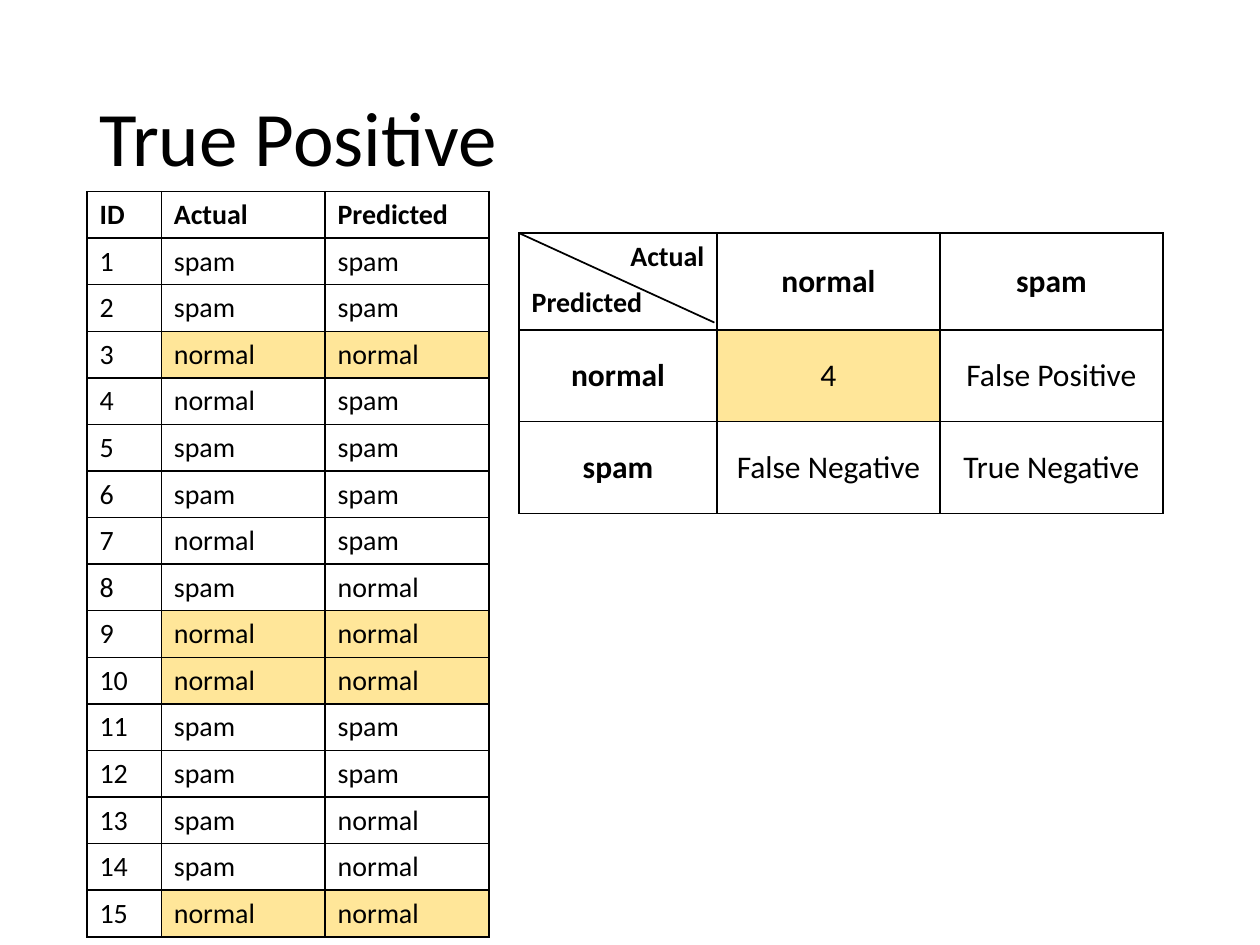
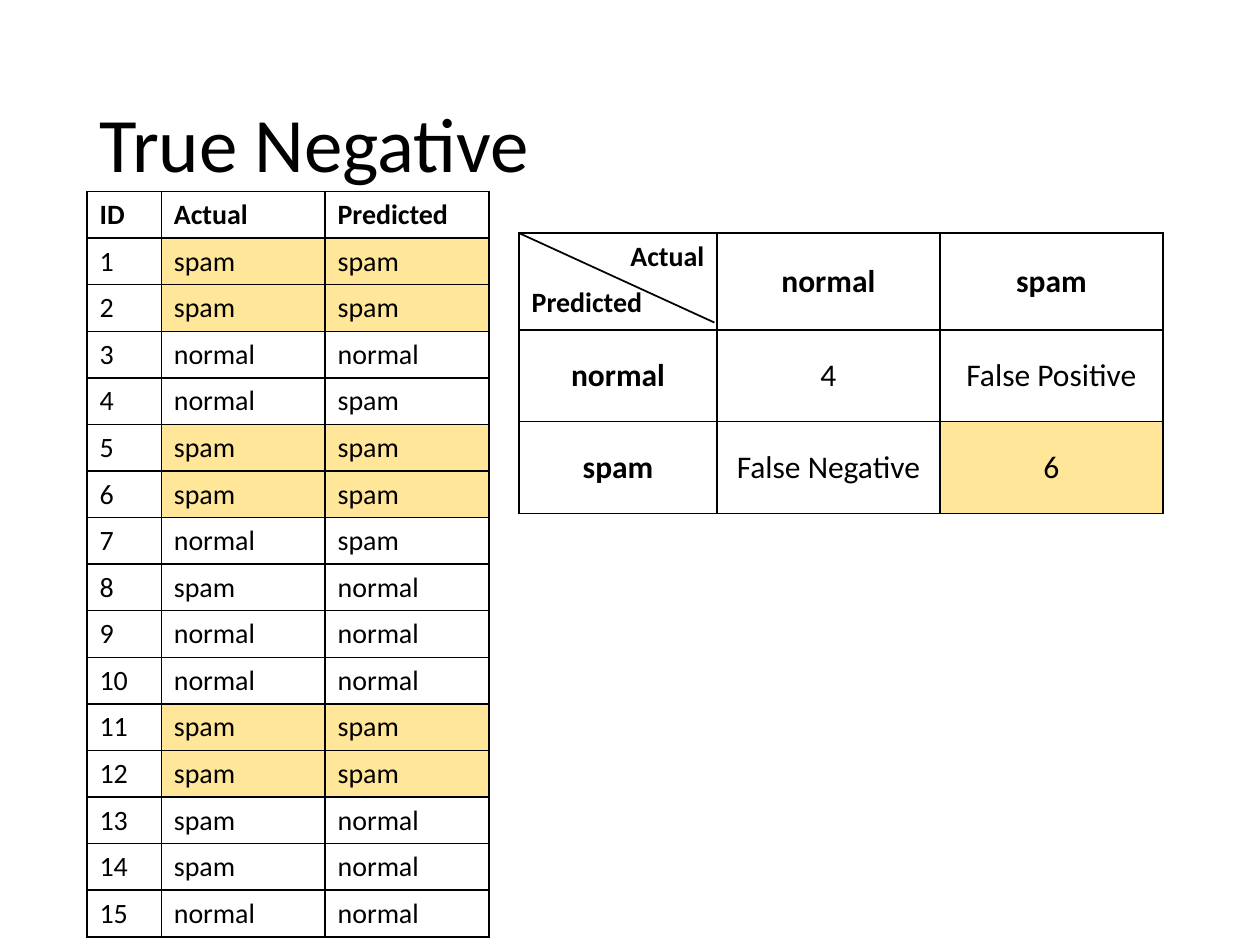
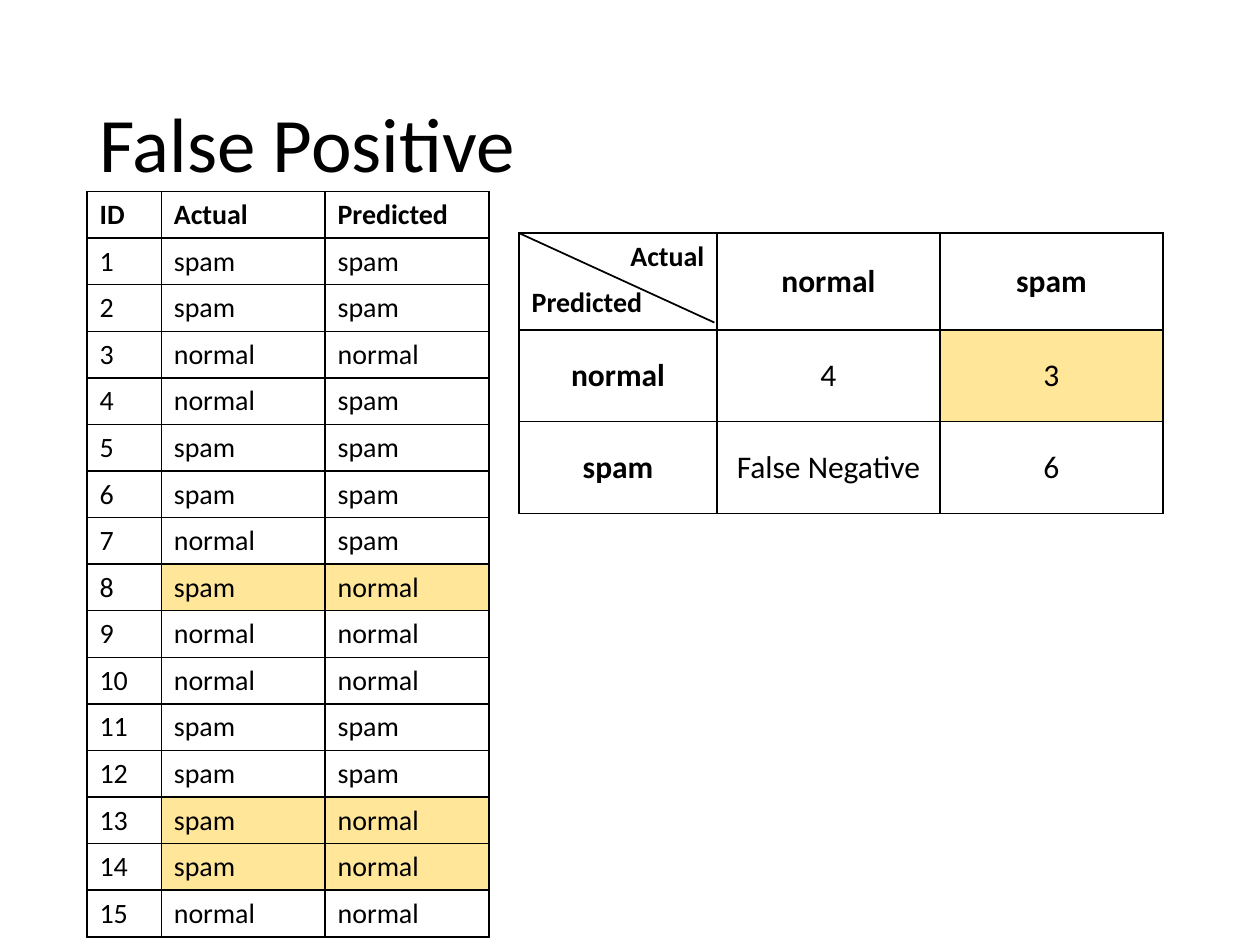
from pptx import Presentation
from pptx.dml.color import RGBColor
from pptx.enum.shapes import MSO_CONNECTOR
from pptx.enum.text import MSO_ANCHOR, PP_ALIGN
from pptx.oxml.ns import qn
from pptx.util import Inches, Pt
from lxml import etree

LEFT, CENTER, RIGHT = PP_ALIGN.LEFT, PP_ALIGN.CENTER, PP_ALIGN.RIGHT
TOP, MIDDLE = MSO_ANCHOR.TOP, MSO_ANCHOR.MIDDLE
STRAIGHT = MSO_CONNECTOR.STRAIGHT

FONT = "Calibri"
BLACK, WHITE, HIGHLIGHT = "000000", "FFFFFF", "FFE699"
MARGIN = 0.69
MATRIX_LEFT, MATRIX_TOP = 4.12, 1.85

CLASSES = ["normal", "spam"]
ACTUAL = ("spam spam normal normal spam spam normal spam "
          "normal normal spam spam spam spam normal").split()
PREDICTED = ("spam spam normal spam spam spam spam normal "
             "normal normal spam spam normal normal normal").split()
PAIRS = list(zip(ACTUAL, PREDICTED))
OUTCOMES = {  # (actual, predicted): name
    ("normal", "normal"): "True Positive",
    ("spam", "spam"): "True Negative",
    ("spam", "normal"): "False Positive",
    ("normal", "spam"): "False Negative",
}


def write(holder, text, size=16, bold=False, align=LEFT, anchor=TOP, spacing=None):
    """Put one formatted paragraph into a text frame."""
    holder.word_wrap = True
    holder.vertical_anchor = anchor
    para = holder.paragraphs[0]
    para.alignment = align
    para.line_spacing = spacing
    span = para.add_run()
    span.text = text
    span.font.name = FONT
    span.font.size = Pt(size)
    span.font.bold = bold
    span.font.color.rgb = RGBColor.from_string(BLACK)


def paint_cell(cell, fill, open_edge=None):
    """Draw the borders, except the open edge, then fill the cell."""
    properties = cell._tc.get_or_add_tcPr()
    for edge in "LRTB":
        line = etree.SubElement(properties, qn(f"a:ln{edge}"), w=str(Pt(1)))
        if edge == open_edge:
            etree.SubElement(line, qn("a:noFill"))
        else:
            solid = etree.SubElement(line, qn("a:solidFill"))
            etree.SubElement(solid, qn("a:srgbClr"), val=BLACK)
    cell.fill.solid()
    cell.fill.fore_color.rgb = RGBColor.from_string(fill)


deck = Presentation()
deck.slide_width, deck.slide_height = Inches(10), Inches(7.5)
blank_layout = deck.slide_layouts[6]
revealed = []

for outcome, title, spacing in [
    (("normal", "normal"), "True Positive", 0.9),
    (("spam", "spam"), "True Negative", None),
    (("spam", "normal"), "False Positive", None),
]:
    revealed.append(outcome)
    page = deck.slides.add_slide(blank_layout)
    box = page.shapes.add_textbox(Inches(MARGIN), Inches(0.4), Inches(8.62), Inches(1.45))
    write(box.text_frame, title, size=44, anchor=MIDDLE, spacing=spacing)

    # Each cell is (text, text format, cell paint)
    header = {"bold": True}
    record_rows = [[(name, header, {"fill": WHITE}) for name in ("ID", "Actual", "Predicted")]]
    for number, pair in enumerate(PAIRS, start=1):
        paint = {"fill": HIGHLIGHT if pair == outcome else WHITE}
        record_rows.append([(str(number), {}, {"fill": WHITE})]
                           + [(label, {}, paint) for label in pair])

    centered = {"size": 18, "align": CENTER, "anchor": MIDDLE}
    label_format = {**centered, "bold": True}
    plain = {"fill": WHITE}
    matrix_rows = [
        [("Actual", {"bold": True, "align": RIGHT}, {"fill": WHITE, "open_edge": "B"})]
        + [(label, label_format, plain) for label in CLASSES],
        [("Predicted", header, {"fill": WHITE, "open_edge": "T"})]
        + [(None, {}, plain) for label in CLASSES],
    ]
    for predicted in CLASSES:
        row = [(predicted, label_format, plain)]
        for actual in CLASSES:
            pair = (actual, predicted)
            text = str(PAIRS.count(pair)) if pair in revealed else OUTCOMES[pair]
            row.append((text, centered, {"fill": HIGHLIGHT if pair == outcome else WHITE}))
        matrix_rows.append(row)

    for rows, left, top, widths, heights in [
        (record_rows, MARGIN, 1.52, [0.59, 1.3, 1.3], [0.37] * len(record_rows)),
        (matrix_rows, MATRIX_LEFT, MATRIX_TOP, [1.57, 1.77, 1.77], [0.32, 0.32, 0.73, 0.73]),
    ]:
        table = page.shapes.add_table(
            len(rows), len(widths), Inches(left), Inches(top),
            Inches(sum(widths)), Inches(sum(heights))).table
        table.first_row = table.horz_banding = False
        for column, width in zip(table.columns, widths):
            column.width = Inches(width)
        for table_row, height in zip(table.rows, heights):
            table_row.height = Inches(height)
        for row_index, row in enumerate(rows):
            for column_index, (text, text_format, paint) in enumerate(row):
                cell = table.cell(row_index, column_index)
                paint_cell(cell, **paint)
                if text is None:
                    table.cell(row_index - 1, column_index).merge(cell)
                else:
                    cell.vertical_anchor = text_format.get("anchor", TOP)
                    write(cell.text_frame, text, **text_format)

    diagonal = page.shapes.add_connector(
        STRAIGHT, Inches(MATRIX_LEFT), Inches(MATRIX_TOP), Inches(5.67), Inches(2.56))
    diagonal.line.color.rgb = RGBColor.from_string(BLACK)
    diagonal.line.width = Pt(1)
    etree.SubElement(diagonal._element.spPr, qn("a:effectLst"))

deck.save("out.pptx")
